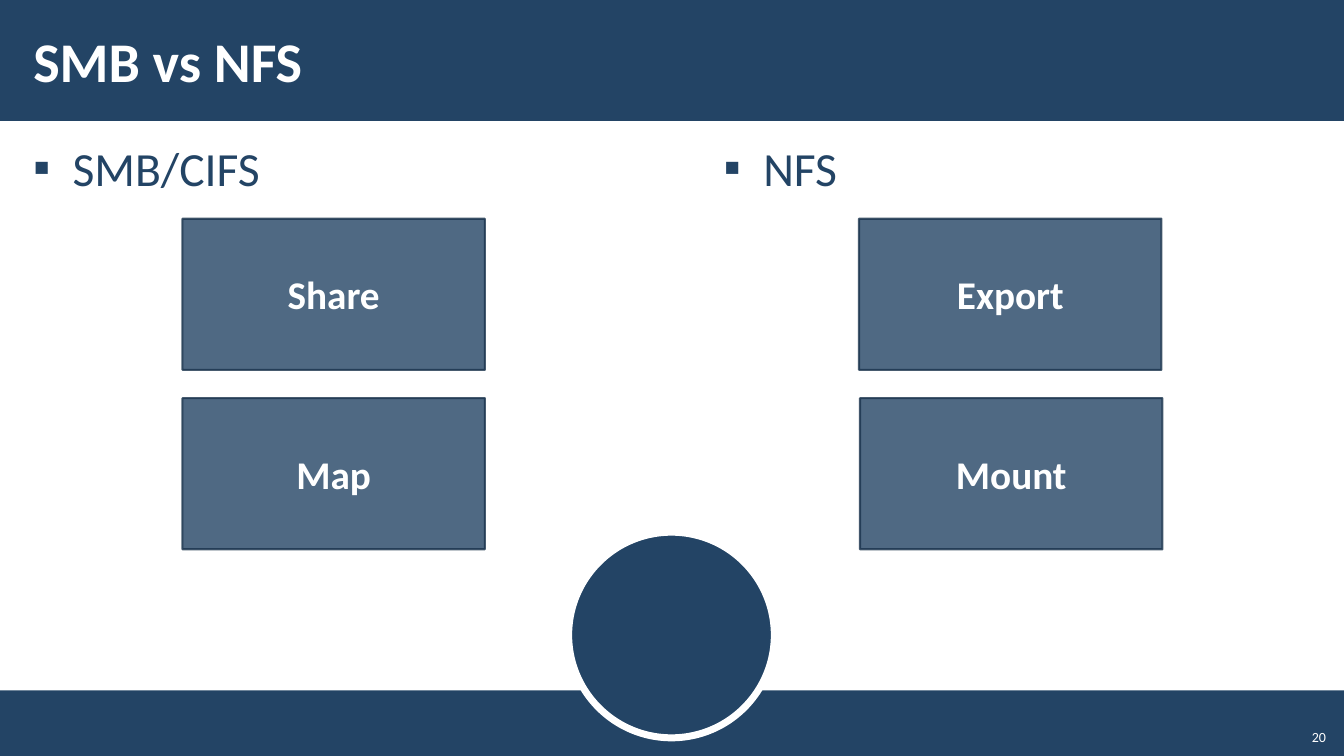
from dataclasses import dataclass

from lxml.etree import SubElement
from pptx import Presentation
from pptx.dml.color import RGBColor
from pptx.enum.shapes import MSO_SHAPE
from pptx.enum.text import MSO_ANCHOR, MSO_AUTO_SIZE, PP_ALIGN
from pptx.oxml.ns import qn
from pptx.util import Inches, Pt


@dataclass(frozen=True)
class Theme:
    """Colours, font and type sizes of the slide."""
    navy: RGBColor = RGBColor(0x23, 0x44, 0x65)
    edge: RGBColor = RGBColor(0x1A, 0x33, 0x4C)
    white: RGBColor = RGBColor(0xFF, 0xFF, 0xFF)
    font: str = "Calibri"
    title: Pt = Pt(40)
    bullet: Pt = Pt(34)
    box: Pt = Pt(28)
    page: Pt = Pt(10)


THEME = Theme()
COLUMNS = [
    ("SMB/CIFS", 0.21, [("Share", 1.81), ("Map", 1.81)]),
    ("NFS", 7.06, [("Export", 8.52), ("Mount", 8.53)]),
]
BOX_TOP, BOX_PITCH = 2.17, 1.78


def apply(target, values):
    """Set each named attribute on the target."""
    for name, value in values.items():
        setattr(target, name, value)


def place(shape, left, top, width, height):
    """Move and size a shape, in inches."""
    apply(shape, {"left": Inches(left), "top": Inches(top),
                  "width": Inches(width), "height": Inches(height)})


def write(shape, text, size, color, bold=False, align=PP_ALIGN.LEFT,
          anchor=MSO_ANCHOR.MIDDLE):
    """Write one formatted paragraph into a shape and return it."""
    frame = shape.text_frame
    apply(frame, {"word_wrap": True, "auto_size": MSO_AUTO_SIZE.NONE,
                  "vertical_anchor": anchor})
    paragraph = frame.paragraphs[0]
    paragraph.alignment = align
    run = paragraph.add_run()
    run.text = text
    apply(run.font, {"name": THEME.font, "size": size, "bold": bold})
    run.font.color.rgb = color
    return paragraph


def set_insets(shape):
    """Give a placeholder the template's text margins."""
    apply(shape.text_frame, {"margin_left": Inches(0.12), "margin_right": Inches(0.12),
                             "margin_top": Inches(0.04), "margin_bottom": Inches(0.04)})


def add_filled(slide, kind, bounds, edge=None, edge_width=0):
    """Add a navy preset shape with an optional outline."""
    shape = slide.shapes.add_shape(kind, *map(Inches, bounds))
    shape.shadow.inherit = False
    shape.fill.solid()
    shape.fill.fore_color.rgb = THEME.navy
    if edge is None:
        shape.line.fill.background()
    else:
        shape.line.color.rgb = edge
        shape.line.width = Pt(edge_width)
    return shape


def add_frame(slide):
    """Add the footer band, the circle and the header band behind the title."""
    frame = [
        add_filled(slide, MSO_SHAPE.RECTANGLE, (0, 6.85, 13.33, 0.65)),
        add_filled(slide, MSO_SHAPE.OVAL, (5.64, 5.28, 2.04, 2.04), THEME.white, 5),
        add_filled(slide, MSO_SHAPE.RECTANGLE, (0, 0, 13.34, 1.2)),
    ]
    for part in frame:
        slide.shapes.title.element.addprevious(part.element)


def add_term_box(slide, term, left, top):
    """Add a translucent box that names one term."""
    box = add_filled(slide, MSO_SHAPE.RECTANGLE, (left, top, 3, 1.5), THEME.edge, 1.5)
    for color in box.element.spPr.iter(qn("a:srgbClr")):
        SubElement(color, qn("a:alpha"), val="80000")
    write(box, term, THEME.box, THEME.white, bold=True, align=PP_ALIGN.CENTER)


def fill_title(title, text):
    """Set the slide title in the header band."""
    place(title, 0.21, 0.11, 10.63, 0.97)
    set_insets(title)
    write(title, text, THEME.title, THEME.white, bold=True)


def fill_heading(body, heading, left):
    """Set a column heading with a square bullet."""
    place(body, left, 1.31, 6.06, 5.42)
    set_insets(body)
    paragraph = write(body, heading, THEME.bullet, THEME.navy, anchor=MSO_ANCHOR.TOP)
    apply(paragraph, {"line_spacing": 1.05, "space_before": Pt(6), "space_after": Pt(6)})
    properties = paragraph.runs[0].font and paragraph._p.get_or_add_pPr()
    properties.set("marL", str(Inches(0.39)))
    properties.set("indent", str(Inches(-0.39)))
    SubElement(properties, qn("a:buFont"), typeface=THEME.font)
    SubElement(properties, qn("a:buChar"), char="▪")


def add_page_number(slide, number):
    """Add the page number in the lower right corner."""
    page = slide.shapes.add_textbox(*map(Inches, (12.85, 7.12, 0.4, 0.32)))
    write(page, number, THEME.page, THEME.white, align=PP_ALIGN.RIGHT,
          anchor=MSO_ANCHOR.BOTTOM)


def main():
    """Build the comparison slide and save it."""
    deck = Presentation()
    apply(deck, {"slide_width": Inches(13.33), "slide_height": Inches(7.5)})
    slide = deck.slides.add_slide(deck.slide_layouts[3])
    add_frame(slide)
    fill_title(slide.shapes.title, "SMB vs NFS")
    for index, (heading, left, terms) in enumerate(COLUMNS, start=1):
        fill_heading(slide.placeholders[index], heading, left)
        for row, (term, box_left) in enumerate(terms):
            add_term_box(slide, term, box_left, BOX_TOP + row * BOX_PITCH)
    add_page_number(slide, "20")
    deck.save("out.pptx")


if __name__ == "__main__":
    main()
